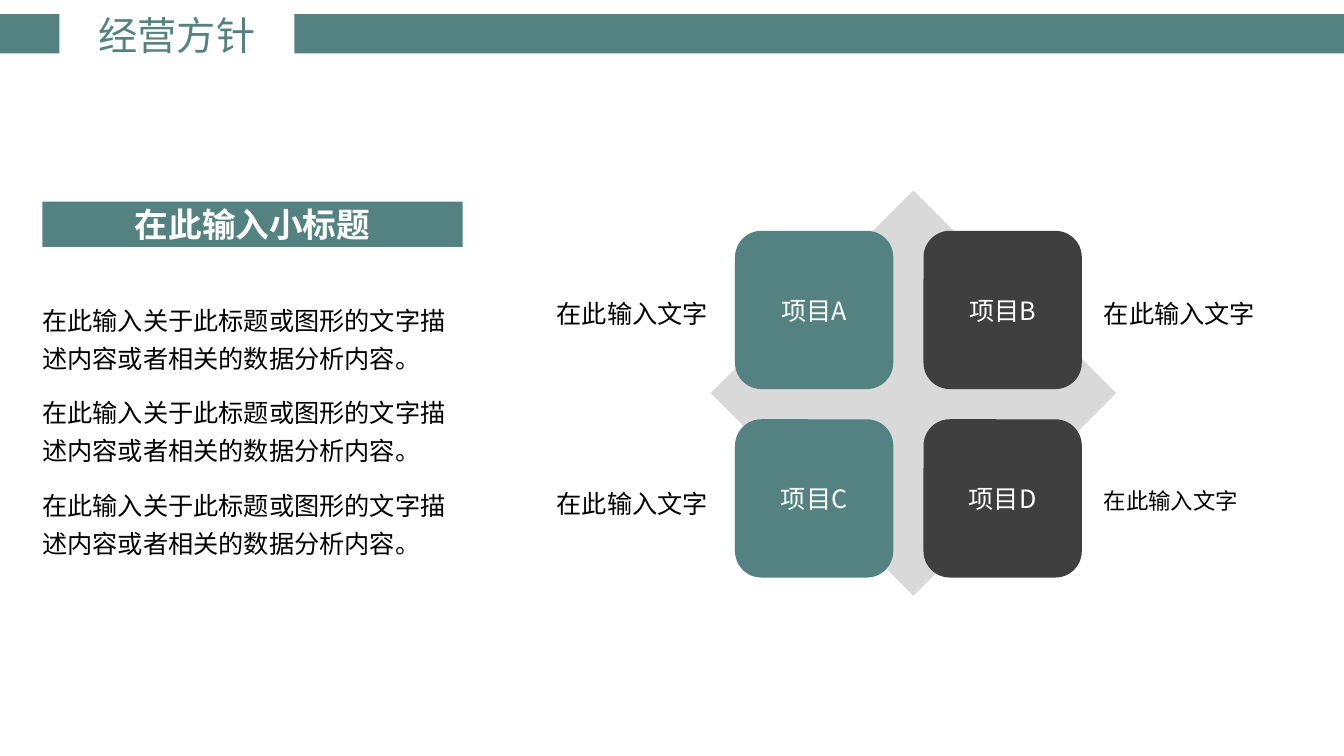
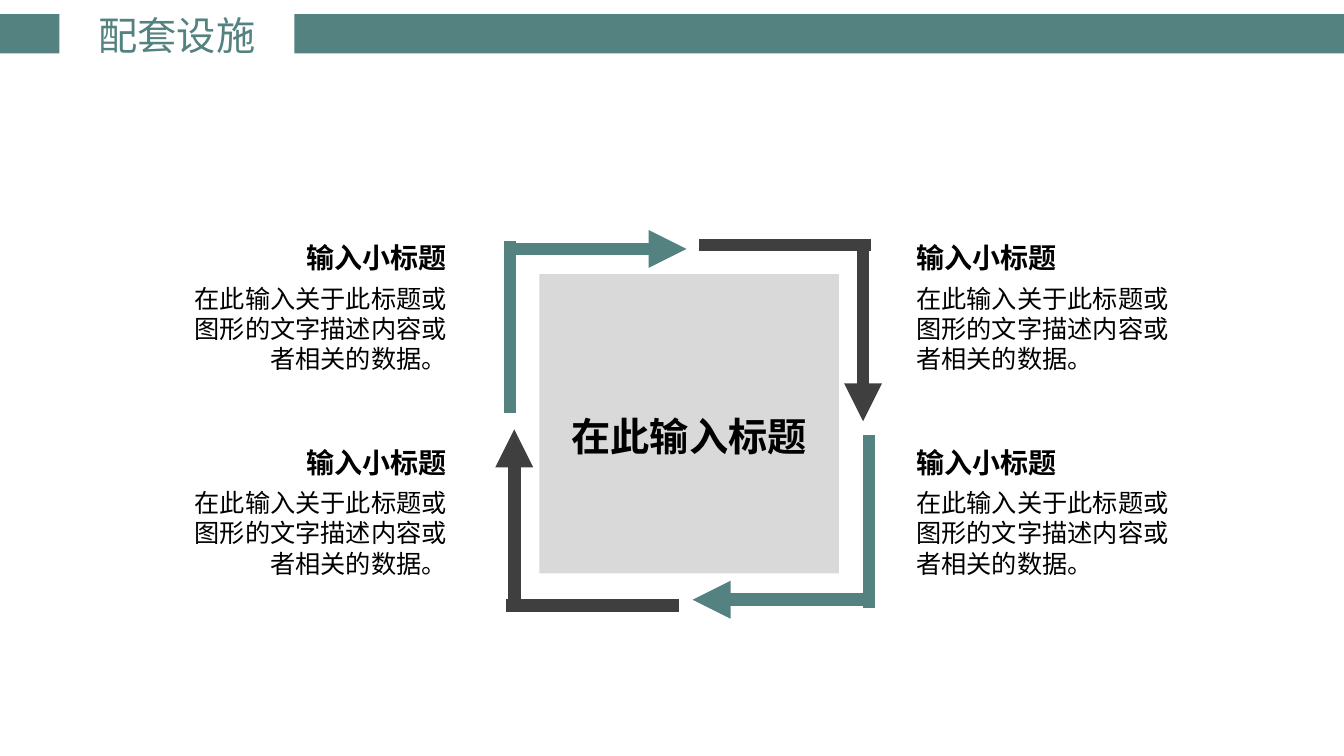
from dataclasses import dataclass
from typing import Optional

from lxml.etree import SubElement
from pptx import Presentation
from pptx.dml.color import RGBColor
from pptx.enum.shapes import MSO_CONNECTOR, MSO_SHAPE
from pptx.enum.text import MSO_ANCHOR, MSO_AUTO_SIZE, PP_ALIGN
from pptx.oxml.ns import qn
from pptx.presentation import Presentation as Deck
from pptx.shapes.autoshape import Shape
from pptx.slide import Slide, SlideLayout
from pptx.text.text import TextFrame, _Paragraph as Paragraph
from pptx.util import Inches, Pt


@dataclass(frozen=True)
class Theme:
    font: str = "Noto Sans CJK SC"
    teal: str = "548280"
    dark: str = "3F3F3F"
    grey: str = "D9D9D9"
    black: str = "000000"
    white: str = "FFFFFF"
    title: int = 28
    banner: int = 24
    heading: int = 20
    body: int = 18
    small: int = 16
    arrow_width: int = 9


@dataclass(frozen=True)
class Box:
    left: float
    top: float
    width: float
    height: float

    def lengths(self) -> tuple[Inches, Inches, Inches, Inches]:
        return Inches(self.left), Inches(self.top), Inches(self.width), Inches(self.height)


@dataclass(frozen=True)
class TextStyle:
    size: int
    color: str
    bold: bool = False
    align: PP_ALIGN = PP_ALIGN.LEFT
    line_spacing: Optional[float] = None
    before: int = 0
    after: int = 0


@dataclass(frozen=True)
class Project:
    name: str
    column: int
    row: int
    label_size: int


@dataclass(frozen=True)
class CornerArrow:
    corner: tuple[float, float]
    direction: tuple[int, int]
    color: str


THEME = Theme()
TITLE_BOX = Box(0.87, 0.06, 1.77, 0.57)
BANDS = (Box(0, 0.14, 0.59, 0.39), Box(2.92, 0.14, 10.42, 0.39))


# Text and shape helpers
def write_paragraph(paragraph: Paragraph, text: str, style: TextStyle) -> None:
    paragraph.text = text
    paragraph.alignment = style.align
    paragraph.space_before = Pt(style.before)
    paragraph.space_after = Pt(style.after)
    if style.line_spacing:
        paragraph.line_spacing = style.line_spacing
    for run in paragraph.runs:
        font = run.font
        font.size = Pt(style.size)
        font.bold = style.bold
        font.color.rgb = RGBColor.from_string(style.color)
        font.name = THEME.font
        east_asian = SubElement(run._r.get_or_add_rPr(), qn("a:ea"))
        east_asian.set("typeface", THEME.font)


def add_filled(slide: Slide, kind: MSO_SHAPE, box: Box, color: str,
               text: str = "", style: Optional[TextStyle] = None) -> Shape:
    shape = slide.shapes.add_shape(kind, *box.lengths())
    shape.shadow.inherit = False
    shape.fill.solid()
    shape.fill.fore_color.rgb = RGBColor.from_string(color)
    shape.line.fill.background()
    if style:
        shape.text_frame.vertical_anchor = MSO_ANCHOR.MIDDLE
        write_paragraph(shape.text_frame.paragraphs[0], text, style)
    return shape


def add_text(slide: Slide, box: Box, lines: list[tuple[str, TextStyle]],
             wrap: bool = True) -> TextFrame:
    frame = slide.shapes.add_textbox(*box.lengths()).text_frame
    frame.word_wrap = wrap
    frame.auto_size = MSO_AUTO_SIZE.SHAPE_TO_FIT_TEXT
    for index, (text, style) in enumerate(lines):
        paragraph = frame.add_paragraph() if index else frame.paragraphs[0]
        write_paragraph(paragraph, text, style)
    return frame


def add_line(slide: Slide, start: tuple[float, float], end: tuple[float, float],
             color: str, arrowhead: bool = False) -> None:
    connector = slide.shapes.add_connector(
        MSO_CONNECTOR.STRAIGHT, *(Inches(value) for value in (*start, *end)))
    connector.line.width = Pt(THEME.arrow_width)
    connector.line.color.rgb = RGBColor.from_string(color)
    properties = connector.element.spPr
    if arrowhead:
        SubElement(properties.find(qn("a:ln")), qn("a:tailEnd")).set("type", "triangle")
    SubElement(properties, qn("a:effectLst"))


# Shared frame: bands live on the layout, the title on each slide
def prepare_layout(presentation: Deck) -> SlideLayout:
    layout = presentation.slide_layouts[5]
    for placeholder in list(layout.placeholders):
        if placeholder.placeholder_format.idx != 0:
            placeholder.element.getparent().remove(placeholder.element)
    return layout


def add_bands(slide: Slide, layout: SlideLayout) -> None:
    for box in BANDS:
        band = add_filled(slide, MSO_SHAPE.RECTANGLE, box, THEME.teal)
        layout.shapes.element.append(band.element)


def add_titled_slide(presentation: Deck, layout: SlideLayout, text: str) -> Slide:
    slide = presentation.slides.add_slide(layout)
    title = slide.shapes.title
    title.left, title.top, title.width, title.height = TITLE_BOX.lengths()
    frame = title.text_frame
    frame.word_wrap = False
    frame.auto_size = MSO_AUTO_SIZE.SHAPE_TO_FIT_TEXT
    frame.vertical_anchor = MSO_ANCHOR.MIDDLE
    style = TextStyle(THEME.title, THEME.teal, align=PP_ALIGN.CENTER)
    write_paragraph(frame.paragraphs[0], text, style)
    return slide


# Slide 1: text column and project matrix
def draw_policy(slide: Slide) -> None:
    banner = TextStyle(THEME.banner, THEME.white, True, PP_ALIGN.CENTER)
    add_filled(slide, MSO_SHAPE.RECTANGLE, Box(0.42, 2, 4.17, 0.45), THEME.teal,
               "在此输入小标题", banner)
    add_filled(slide, MSO_SHAPE.DIAMOND, Box(7.05, 1.89, 4.02, 4.02), THEME.grey)

    tile, pitch = 1.57, 1.87
    tile_style = TextStyle(THEME.body, THEME.white, align=PP_ALIGN.CENTER)
    columns = ((THEME.teal, 5.4, PP_ALIGN.RIGHT), (THEME.dark, 10.85, PP_ALIGN.LEFT))
    projects = (
        Project("项目A", 0, 0, THEME.body),
        Project("项目B", 1, 0, THEME.body),
        Project("项目C", 0, 1, THEME.body),
        Project("项目D", 1, 1, THEME.small),
    )
    for project in projects:
        color, label_left, align = columns[project.column]
        box = Box(7.29 + project.column * pitch, 2.29 + project.row * pitch, tile, tile)
        add_filled(slide, MSO_SHAPE.ROUNDED_RECTANGLE, box, color, project.name, tile_style)
        is_small = project.label_size == THEME.small
        label_box = Box(label_left, 2.76 + project.row * 1.89,
                        1.55 if is_small else 1.72, 0.46 if is_small else 0.5)
        label = TextStyle(project.label_size, THEME.black, align=align, line_spacing=1.5)
        add_text(slide, label_box, [("在此输入文字", label)], wrap=False)

    body = TextStyle(THEME.body, THEME.black, line_spacing=1.25, after=12)
    description = "在此输入关于此标题或图形的文字描述内容或者相关的数据分析内容。"
    frame = add_text(slide, Box(0.42, 2.89, 4.17, 2.71), [(description, body)] * 3)
    frame.margin_left = frame.margin_right = 0
    frame.vertical_anchor = MSO_ANCHOR.MIDDLE


# Slide 2: cycle of corner arrows around a square
def draw_corner_arrow(slide: Slide, arrow: CornerArrow) -> None:
    along_x, along_y = arrow.direction
    side_x, side_y = -along_y, along_x

    def point(along: float, side: float) -> tuple[float, float]:
        x, y = arrow.corner
        return x + along * along_x + side * side_x, y + along * along_y + side * side_y

    add_line(slide, point(0, 0.08), point(1.79, 0.08), arrow.color, arrowhead=True)
    add_line(slide, point(0.04, 0), point(0.04, 1.71), arrow.color)


def draw_facilities(slide: Slide) -> None:
    arrows = (
        CornerArrow((5.02, 2.39), (1, 0), THEME.teal),
        CornerArrow((8.64, 2.39), (0, 1), THEME.dark),
        CornerArrow((8.66, 6.03), (-1, 0), THEME.teal),
        CornerArrow((5.02, 6.05), (0, -1), THEME.dark),
    )
    for arrow in arrows:
        draw_corner_arrow(slide, arrow)

    center = TextStyle(THEME.title, THEME.black, True, PP_ALIGN.CENTER, 1.5)
    add_filled(slide, MSO_SHAPE.RECTANGLE, Box(5.35, 2.72, 2.97, 2.97), THEME.grey,
               "在此输入标题", center)

    for top in (2.34, 4.37):
        for left, width, align in ((1.76, 2.77, PP_ALIGN.RIGHT), (8.99, 2.82, PP_ALIGN.LEFT)):
            heading = TextStyle(THEME.heading, THEME.black, True, align, before=6)
            body = TextStyle(THEME.body, THEME.black, align=align, before=6)
            add_text(slide, Box(left, top, width, 1.43), [
                ("输入小标题", heading),
                ("在此输入关于此标题或图形的文字描述内容或者相关的数据。", body),
            ])


def main() -> None:
    presentation = Presentation()
    presentation.slide_width = Inches(13.33)
    presentation.slide_height = Inches(7.5)
    layout = prepare_layout(presentation)

    policy = add_titled_slide(presentation, layout, "经营方针")
    add_bands(policy, layout)
    draw_policy(policy)
    draw_facilities(add_titled_slide(presentation, layout, "配套设施"))
    presentation.save("out.pptx")


if __name__ == "__main__":
    main()
